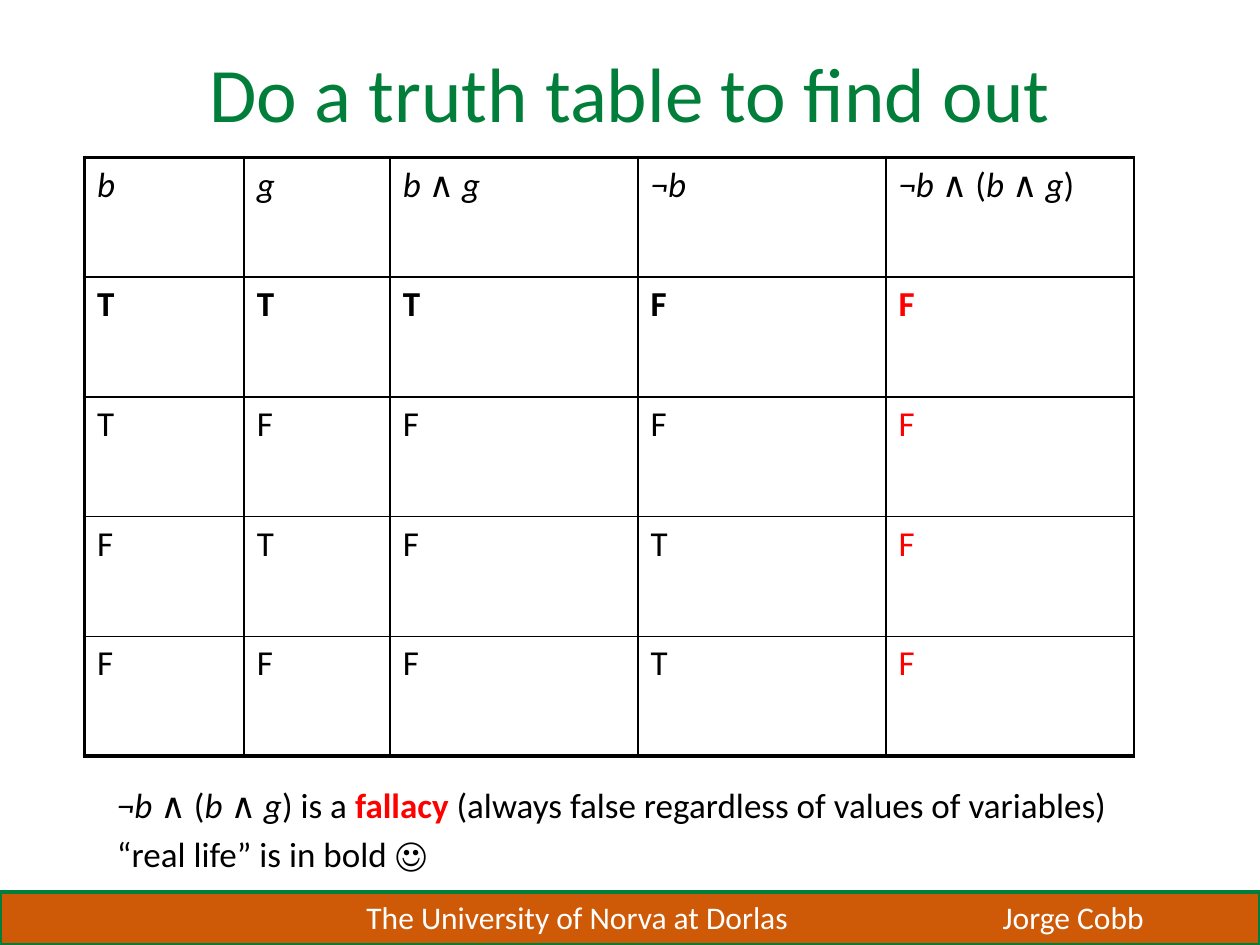
from lxml import etree
from pptx import Presentation
from pptx.dml.color import RGBColor
from pptx.enum.shapes import MSO_SHAPE
from pptx.enum.text import MSO_ANCHOR, PP_ALIGN
from pptx.oxml.ns import qn
from pptx.util import Inches, Pt

RECTANGLE = MSO_SHAPE.RECTANGLE
MIDDLE, TOP = MSO_ANCHOR.MIDDLE, MSO_ANCHOR.TOP
CENTER, LEFT = PP_ALIGN.CENTER, PP_ALIGN.LEFT

GREEN = RGBColor(0x00, 0x7E, 0x3A)
ORANGE = RGBColor(0xCE, 0x5A, 0x08)
WHITE = RGBColor(0xFF, 0xFF, 0xFF)
BLACK = RGBColor(0x00, 0x00, 0x00)
RED = RGBColor(0xFF, 0x00, 0x00)

FONT = "Calibri"
WIDTH, HEIGHT = Inches(10), Inches(7.5)
GRID_COLUMNS, GRID_ROWS = 100, 75
COLUMN_WIDTHS = [1.27, 1.16, 1.97, 1.97, 1.97]
THIN, THICK = Pt(1), Pt(2.25)

ITALIC = {"italic": True}
CONJUNCTION = [("b ", ITALIC), ("∧", {}), (" g", ITALIC)]
FORMULA = [("¬b ", ITALIC), ("∧ (", {}), *CONJUNCTION, (")", {})]
HEADINGS = [[("b", ITALIC)], [("g", ITALIC)], CONJUNCTION, [("¬b", ITALIC)], FORMULA]
TRUTH_ROWS = ["TTTFF", "TFFFF", "FTFTF", "FFFTF"]
CONCLUSION = [
    [*FORMULA, (" is a ", {}), ("fallacy", {"bold": True, "color": RED}),
     (" (always false regardless of values of variables)", {})],
    [("“real life” is in bold ☺", {})],
]


def grid_box(column, row, columns, rows):
    """Turn grid columns and rows into a box of lengths."""
    cell_width, cell_height = WIDTH / GRID_COLUMNS, HEIGHT / GRID_ROWS
    return (round(column * cell_width), round(row * cell_height),
            round(columns * cell_width), round(rows * cell_height))


def add_runs(paragraph, runs, size, color=BLACK):
    """Append styled runs to a paragraph."""
    for text, style in runs:
        run = paragraph.add_run()
        run.text = text
        font = run.font
        font.name, font.size = FONT, Pt(size)
        font.bold = style.get("bold", False)
        font.italic = style.get("italic", False)
        font.color.rgb = style.get("color", color)


def add_text(slide, box, lines, size, color=BLACK, align=LEFT, anchor=TOP):
    """Place a text box with one paragraph for each line of runs."""
    frame = slide.shapes.add_textbox(*box).text_frame
    frame.word_wrap, frame.vertical_anchor = True, anchor
    for index, runs in enumerate(lines):
        paragraph = frame.add_paragraph() if index else frame.paragraphs[0]
        paragraph.alignment = align
        paragraph.space_before = Pt(size * 0.2 if index else 0)
        add_runs(paragraph, runs, size, color)


def set_borders(cell, widths):
    """Draw the left, right, top and bottom borders of a cell."""
    properties = cell._tc.get_or_add_tcPr()
    for index, (side, width) in enumerate(zip("LRTB", widths)):
        line = etree.Element(qn(f"a:ln{side}"), w=str(width))
        fill = etree.SubElement(line, qn("a:solidFill"))
        etree.SubElement(fill, qn("a:srgbClr"), val=str(BLACK))
        properties.insert(index, line)


def add_title(slide, box):
    """Place the slide title."""
    add_text(slide, box, [[("Do a truth table to find out", {})]], 44, GREEN, CENTER, MIDDLE)


def add_truth_table(slide, box):
    """Place the truth table with the real-life row in bold."""
    rows = [HEADINGS]
    for index, values in enumerate(TRUTH_ROWS):
        rows.append([[(value, {"bold": index == 0,
                               "color": RED if column == len(values) - 1 else BLACK})]
                     for column, value in enumerate(values)])
    table = slide.shapes.add_table(len(rows), len(COLUMN_WIDTHS), *box).table
    table.first_row = table.horz_banding = False
    for column, width in zip(table.columns, COLUMN_WIDTHS):
        column.width = round(box[2] * width / sum(COLUMN_WIDTHS))
    for row, entries in enumerate(rows):
        table.rows[row].height = box[3] // len(rows)
        for column, runs in enumerate(entries):
            cell = table.cell(row, column)
            cell.fill.background()
            add_runs(cell.text_frame.paragraphs[0], runs, 20)
            set_borders(cell, (THIN if column else THICK, THIN, THIN if row else THICK,
                               THICK if row == len(rows) - 1 else THIN))


def add_footer(slide, box):
    """Place the footer band with the school and the lecturer."""
    left, top, width, height = box
    band = slide.shapes.add_shape(RECTANGLE, *box)
    band.shadow.inherit = False
    band.fill.solid()
    band.fill.fore_color.rgb = ORANGE
    band.line.color.rgb = GREEN
    band.line.width = Pt(2)
    column = width / GRID_COLUMNS
    for text, start, columns in [("The University of Norva at Dorlas", 28.1, 45),
                                 ("Jorge Cobb", 78.6, 18)]:
        label = (left + round(start * column), top, round(columns * column), height)
        add_text(slide, label, [[(text, {})]], 18, WHITE)


def main():
    """Build and save the truth table slide."""
    deck = Presentation()
    deck.slide_width, deck.slide_height = WIDTH, HEIGHT
    slide = deck.slides.add_slide(deck.slide_layouts[6])
    add_footer(slide, grid_box(0, 70.8, 100, 4.2))
    add_title(slide, grid_box(5, 2.5, 90, 9.5))
    add_truth_table(slide, grid_box(6.7, 12.5, 83.3, 47.5))
    add_text(slide, grid_box(8.3, 61.7, 80.9, 8.4), CONCLUSION, 20)
    deck.save("out.pptx")


if __name__ == "__main__":
    main()
